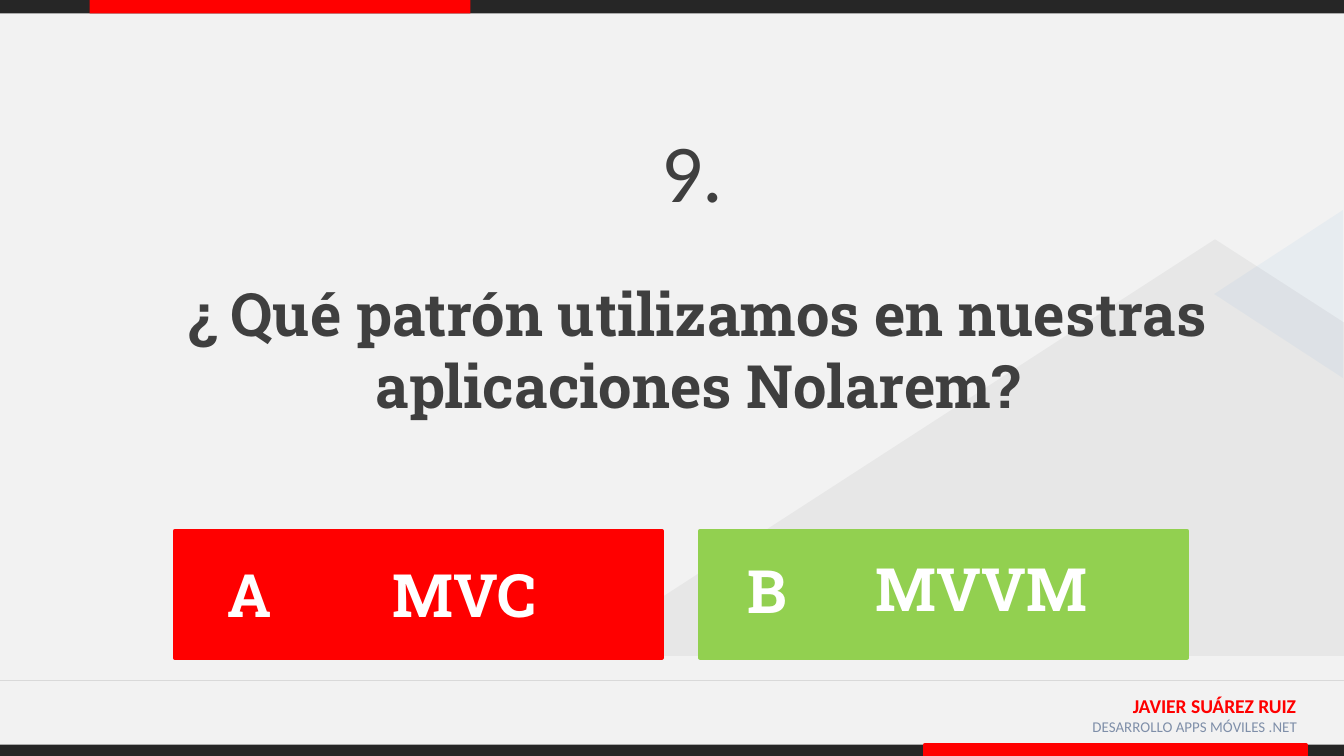
from lxml import etree
from pptx import Presentation
from pptx.dml.color import RGBColor
from pptx.enum.shapes import MSO_CONNECTOR, MSO_SHAPE
from pptx.enum.text import MSO_ANCHOR, PP_ALIGN
from pptx.oxml.ns import qn
from pptx.util import Pt

RECT = MSO_SHAPE.RECTANGLE
TRIANGLE = MSO_SHAPE.ISOSCELES_TRIANGLE
STRAIGHT = MSO_CONNECTOR.STRAIGHT
CENTER, RIGHT = PP_ALIGN.CENTER, PP_ALIGN.RIGHT
TOP, MIDDLE = MSO_ANCHOR.TOP, MSO_ANCHOR.MIDDLE
SLAB = "Roboto Slab"
W, H = 720, 405

COLORS = {
    "background": "F2F2F2",
    "dark": "262626",
    "red": "FF0000",
    "green": "92D050",
    "blue": "297FD5",
    "rule": "D9D9D9",
    "text": "3F3F3F",
    "subtitle": "7F8FA9",
    "white": "FFFFFF",
}


def rgb(name):
    return RGBColor.from_string(COLORS[name])


def paint(sp, color, alpha=None, border=0):
    sp.shadow.inherit = False
    sp.fill.solid()
    sp.fill.fore_color.rgb = rgb(color)
    if border:
        sp.line.color.rgb = rgb(color)
        sp.line.width = Pt(border)
    else:
        sp.line.fill.background()
    if alpha is not None:
        clr = sp._element.spPr.find(qn("a:solidFill"))[0]
        etree.SubElement(clr, qn("a:alpha"), val=str(alpha * 1000))


def add_box(s, x, y, w, h, color, kind=RECT, **style):
    sp = s.shapes.add_shape(kind, Pt(x), Pt(y), Pt(w), Pt(h))
    paint(sp, color, **style)
    return sp


def add_outline(s, points, color, **style):
    fb = s.shapes.build_freeform(Pt(points[0][0]), Pt(points[0][1]))
    fb.add_line_segments([(Pt(x), Pt(y)) for x, y in points[1:]], close=True)
    paint(fb.convert_to_shape(), color, **style)


def add_rule(s, y):
    line = s.shapes.add_connector(STRAIGHT, Pt(0), Pt(y), Pt(W), Pt(y))
    line.line.color.rgb = rgb("rule")
    line.line.width = Pt(0.75)
    etree.SubElement(line._element.spPr, qn("a:effectLst"))


def add_text(s, text, x, y, w, h, size, color, font="Calibri", bold=False,
             align=CENTER, anchor=TOP):
    tf = s.shapes.add_textbox(Pt(x), Pt(y), Pt(w), Pt(h)).text_frame
    tf.word_wrap = True
    tf.vertical_anchor = anchor
    p = tf.paragraphs[0]
    p.alignment = align
    r = p.add_run()
    r.text = text
    r.font.name = font
    r.font.size = Pt(size)
    r.font.bold = bold
    r.font.color.rgb = rgb(color)


def add_heading(s, text, x, y, w, h, color):
    add_text(s, text, x, y, w, h, 32, color, font=SLAB, bold=True)


def add_frame(s):
    add_box(s, 0, 0, W, 7.2, "dark")
    add_box(s, 48, 0, 204, 7.2, "red")
    add_text(s, "JAVIER SUÁREZ RUIZ", 571, 368.4, 130.5, 22, 10.5, "red",
             bold=True, align=RIGHT)
    add_text(s, "DESARROLLO APPS MÓVILES .NET", 556, 381, 146, 22, 8,
             "subtitle", align=RIGHT)
    add_box(s, 0, 399, W, 6, "dark")
    add_box(s, 495.5, 399, 204, 6, "red", border=2)
    add_rule(s, 364.5)
    mountain = [(306, 351.4), (650.9, 128.2), (W, 172.8), (W, 351.4)]
    add_outline(s, mountain, "dark", alpha=5)
    peak = add_box(s, 640, 123, 90, 69, "blue", kind=TRIANGLE, alpha=5)
    peak.rotation = 270


def add_answer(s, x, color, letter, letter_at, answer, answer_at):
    add_box(s, x, 284.4, 261, 68, color, border=2)
    add_heading(s, letter, *letter_at, 57.6, 46, "white")
    add_heading(s, answer, *answer_at, 46, "white")


def main():
    prs = Presentation()
    prs.slide_width, prs.slide_height = Pt(W), Pt(H)
    s = prs.slides.add_slide(prs.slide_layouts[6])
    s.background.fill.solid()
    s.background.fill.fore_color.rgb = rgb("background")
    add_frame(s)
    add_heading(s, "¿ Qué patrón utilizamos en nuestras aplicaciones Nolarem?",
                65, 145, 618, 85, "text")
    add_text(s, "9.", 47, 57, 648, 68, 44, "text", anchor=MIDDLE)
    add_answer(s, 93.6, "red", "A", (105, 295.5), "MVC", (155, 295.5, 188))
    add_answer(s, 375, "green", "B", (382.5, 293), "MVVM", (425, 292, 201.6))
    prs.save("out.pptx")


if __name__ == "__main__":
    main()
